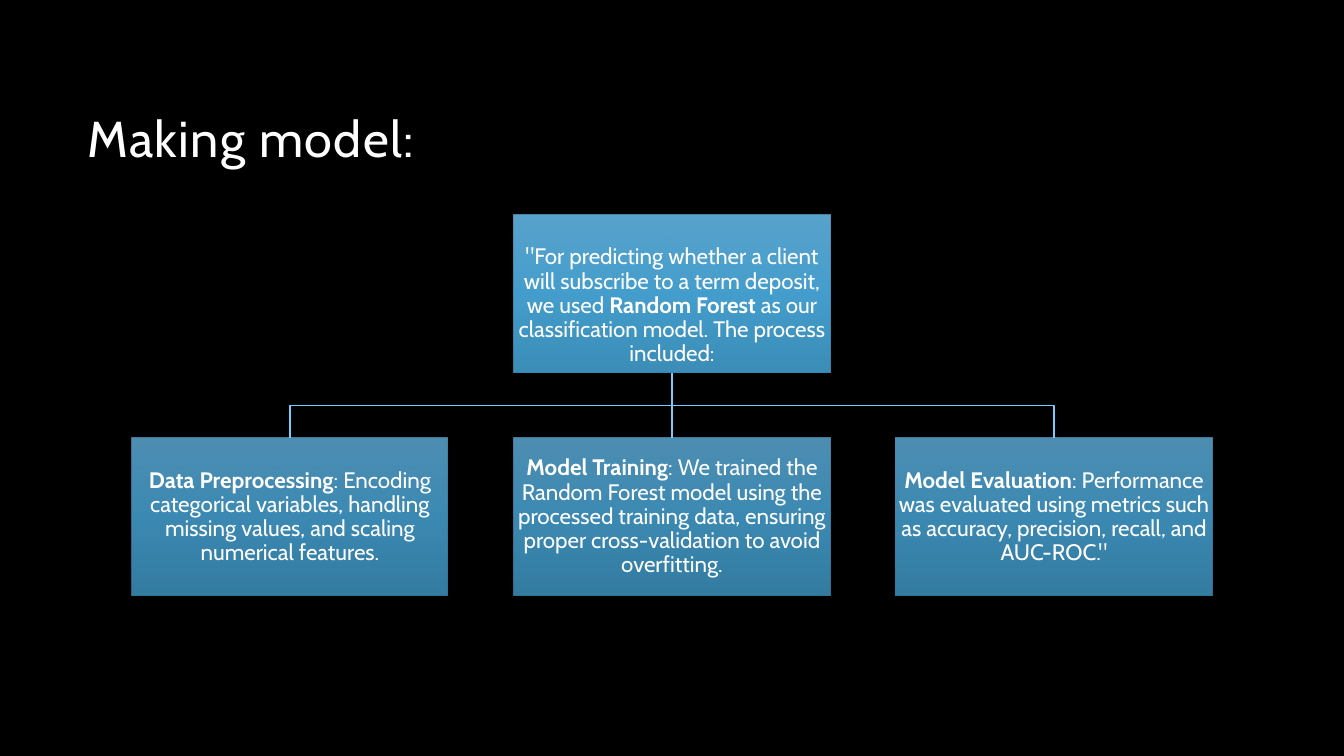
from dataclasses import dataclass

from lxml.etree import SubElement
from pptx import Presentation
from pptx.dml.color import RGBColor
from pptx.enum.shapes import MSO_CONNECTOR as Connector, MSO_SHAPE as Shape
from pptx.enum.text import MSO_ANCHOR as Anchor, MSO_AUTO_SIZE as AutoSize, PP_ALIGN as Align
from pptx.oxml import parse_xml
from pptx.oxml.ns import nsdecls, qn
from pptx.util import Pt

EMU_PER_PX = 914400 / 100.8
PAGE_WIDTH, PAGE_HEIGHT = 1344, 756
BOX_WIDTH, BOX_HEIGHT = 316, 158
STEP_LEFT, STEP_PITCH = 132, 382
MODEL_TOP, STEP_TOP = 215, 438


@dataclass(frozen=True)
class Theme:
    font: str = "Cabin"
    background: str = "000000"
    text: str = "FFFFFF"
    line: str = "77CCFF"
    gradient: tuple = ((0, "70CBFF"), (50, "56C5FF"), (100, "4AB0E5"))
    model_opacity: int = 80
    step_opacity: int = 70
    title_size: int = 36
    body_size: int = 16
    line_width: int = 1


THEME = Theme()

MODEL = [
    ('"For predicting whether a client will subscribe to a term deposit, we used ', False),
    ("Random Forest", True),
    (" as our classification model. The process included:", False),
]
STEPS = [
    ("Data Preprocessing", ": Encoding categorical variables, handling missing values, "
     "and scaling numerical features."),
    ("Model Training", ": We trained the Random Forest model using the processed training data, "
     "ensuring proper cross-validation to avoid overfitting."),
    ("Model Evaluation", ": Performance was evaluated using metrics such as accuracy, precision, "
     'recall, and AUC-ROC."'),
]


def px(length):
    return round(length * EMU_PER_PX)


def set_values(target, values):
    for name, value in values.items():
        setattr(target, name, value)


def write_spans(para, spans, size):
    para.line_spacing = 0.9
    for text, bold in spans:
        span = para.add_run()
        span.text = text
        set_values(span.font, {"name": THEME.font, "size": Pt(size), "bold": bold})
        span.font.color.rgb = RGBColor.from_string(THEME.text)


def fill_gradient(box, opacity):
    stops = "".join(
        f'<a:gs pos="{position * 1000}"><a:srgbClr val="{color}">'
        f'<a:alpha val="{opacity * 1000}"/></a:srgbClr></a:gs>'
        for position, color in THEME.gradient
    )
    gradient = parse_xml(
        f'<a:gradFill {nsdecls("a")} rotWithShape="1"><a:gsLst>{stops}</a:gsLst>'
        '<a:lin ang="5400000" scaled="0"/></a:gradFill>'
    )
    box._element.spPr.find(qn("a:prstGeom")).addnext(gradient)


def style_line(line):
    line.color.rgb = RGBColor.from_string(THEME.line)
    line.width = Pt(THEME.line_width)


def add_title(page, text):
    title = page.shapes.title
    set_values(title, {"left": px(77), "top": px(69), "width": px(1008), "height": px(159)})
    frame = title.text_frame
    set_values(frame, {"vertical_anchor": Anchor.BOTTOM, "auto_size": AutoSize.NONE,
                       "word_wrap": True, "margin_bottom": px(60)})
    para = frame.paragraphs[0]
    para.alignment = Align.LEFT
    write_spans(para, [(text, False)], THEME.title_size)
    para.runs[0].font._element.set("spc", "100")


def add_box(page, left, top, spans, opacity, margin_top=1):
    box = page.shapes.add_shape(Shape.RECTANGLE, px(left), px(top), px(BOX_WIDTH), px(BOX_HEIGHT))
    box.shadow.inherit = False
    box.line.fill.background()
    fill_gradient(box, opacity)
    frame = box.text_frame
    set_values(frame, {"vertical_anchor": Anchor.MIDDLE, "word_wrap": True,
                       "margin_left": px(1), "margin_right": px(1),
                       "margin_top": px(margin_top), "margin_bottom": px(1)})
    para = frame.paragraphs[0]
    para.alignment = Align.CENTER
    write_spans(para, spans, THEME.body_size)
    return box


def add_straight_link(page, parent, child):
    link = page.shapes.add_connector(Connector.STRAIGHT, 0, 0, 0, 0)
    link.begin_connect(parent, 2)
    link.end_connect(child, 0)
    style_line(link.line)
    SubElement(link._element.spPr, qn("a:effectLst"))


def add_elbow_link(page, parent, child):
    start_x = parent.left + parent.width // 2
    start_y = parent.top + parent.height
    end_x = child.left + child.width // 2
    middle_y = (start_y + child.top) // 2
    builder = page.shapes.build_freeform(start_x, start_y)
    builder.add_line_segments([(start_x, middle_y), (end_x, middle_y), (end_x, child.top)],
                              close=False)
    link = builder.convert_to_shape()
    link.shadow.inherit = False
    link.fill.background()
    style_line(link.line)


def main():
    deck = Presentation()
    set_values(deck, {"slide_width": px(PAGE_WIDTH), "slide_height": px(PAGE_HEIGHT)})
    page = deck.slides.add_slide(deck.slide_layouts[5])
    page.background.fill.solid()
    page.background.fill.fore_color.rgb = RGBColor.from_string(THEME.background)

    add_title(page, "Making model:")
    model = add_box(page, STEP_LEFT + STEP_PITCH, MODEL_TOP, MODEL, THEME.model_opacity,
                    margin_top=25)
    for index, (name, detail) in enumerate(STEPS):
        step = add_box(page, STEP_LEFT + index * STEP_PITCH, STEP_TOP,
                       [(name, True), (detail, False)], THEME.step_opacity)
        add_link = add_straight_link if step.left == model.left else add_elbow_link
        add_link(page, model, step)
    deck.save("out.pptx")


if __name__ == "__main__":
    main()
